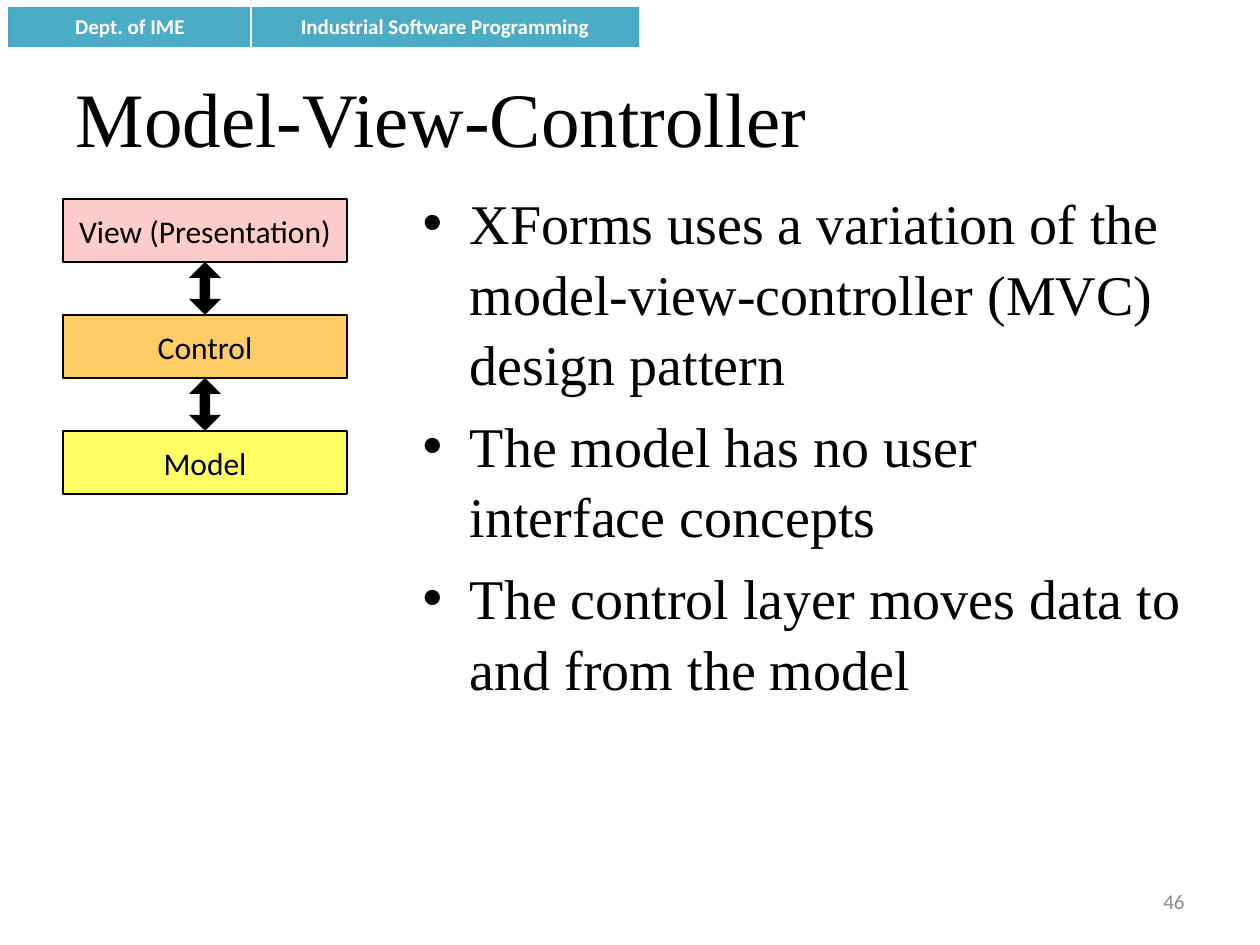
from lxml import etree
from pptx import Presentation
from pptx.dml.color import RGBColor
from pptx.enum.shapes import MSO_SHAPE
from pptx.enum.text import MSO_ANCHOR, MSO_AUTO_SIZE, PP_ALIGN
from pptx.oxml.ns import qn
from pptx.util import Pt

RECT, ARROW = MSO_SHAPE.RECTANGLE, MSO_SHAPE.UP_DOWN_ARROW
LEFT, CENTER, RIGHT = PP_ALIGN.LEFT, PP_ALIGN.CENTER, PP_ALIGN.RIGHT
MIDDLE = MSO_ANCHOR.MIDDLE
NO_FIT = MSO_AUTO_SIZE.NONE
PX = 914400 // 126
COLORS = {
    "banner": "4BACC6", "banner_edge": "46AAC5", "white": "FFFFFF",
    "black": "000000", "number": "8C8C8C",
    "view": "FFCCCC", "control": "FFCC66", "model": "FFFF66",
}


def px(*values):
    return [v * PX for v in values]


def style(p, font, size, color, align, bold=False):
    p.alignment = align
    for r in p.runs:
        r.font.name, r.font.size, r.font.bold = font, Pt(size), bold
        r.font.color.rgb = RGBColor.from_string(COLORS[color])


prs = Presentation()
prs.slide_width, prs.slide_height = px(1260, 945)
s = prs.slides.add_slide(prs.slide_layouts[1])

# Course banner
table = s.shapes.add_table(1, 2, *px(9, 8, 630, 38)).table
table.first_row = table.horz_banding = False
banner = [("Dept. of IME", 242, "LTB"), ("Industrial Software Programming", 388, "RTB")]
for i, (text, width, sides) in enumerate(banner):
    table.columns[i].width = width * PX
    cell = table.cell(0, i)
    cell.text = text
    cell.vertical_anchor = MIDDLE
    cell.fill.solid()
    cell.fill.fore_color.rgb = RGBColor.from_string(COLORS["banner"])
    style(cell.text_frame.paragraphs[0], "Calibri", 12, "white", CENTER, True)
    tcPr = cell._tc.get_or_add_tcPr()
    for n, side in enumerate(sides):
        ln = etree.Element(qn(f"a:ln{side}"), w=str(Pt(0.75)))
        fill = etree.SubElement(ln, qn("a:solidFill"))
        etree.SubElement(fill, qn("a:srgbClr"), val=COLORS["banner_edge"])
        tcPr.insert(n, ln)

# Title
title = s.shapes.title
title.left, title.top, title.width, title.height = px(63, 38, 1134, 157)
title.text_frame.text = "Model-View-Controller"
title.text_frame.auto_size = NO_FIT
style(title.text_frame.paragraphs[0], "Times New Roman", 44, "black", LEFT)

# Bullet list
body = s.placeholders[1]
body.left, body.top, body.width, body.height = px(410, 179, 787, 665)
tf = body.text_frame
tf.auto_size = NO_FIT
bullets = [
    "XForms uses a variation of the model-view-controller (MVC) design pattern",
    "The model has no user interface concepts",
    "The control layer moves data to and from the model",
]
for i, text in enumerate(bullets):
    p = tf.add_paragraph() if i else tf.paragraphs[0]
    p.text = text
    p.space_before = Pt(6.4 if i else 0)
    p.line_spacing = 1.05
    style(p, "Times New Roman", 32, "black", LEFT)

# Layer boxes, joined by double arrows
BOX_H, GAP = 63, 53
layers = [("View (Presentation)", "view"), ("Control", "control"), ("Model", "model")]
for i, (text, color) in enumerate(layers):
    top = 199 + i * (BOX_H + GAP)
    sp = s.shapes.add_shape(RECT, *px(63, top, 284, BOX_H))
    sp.shadow.inherit = False
    sp.fill.solid()
    sp.fill.fore_color.rgb = RGBColor.from_string(COLORS[color])
    sp.line.color.rgb = RGBColor.from_string(COLORS["black"])
    sp.line.width = Pt(1.5)
    tf = sp.text_frame
    tf.text = text
    tf.word_wrap = False
    tf.vertical_anchor = MIDDLE
    style(tf.paragraphs[0], "Calibri", 18, "black", CENTER)
    if i:
        arrow = s.shapes.add_shape(ARROW, *px(189, top - GAP, 32, GAP))
        arrow.shadow.inherit = False
        arrow.adjustments[0], arrow.adjustments[1] = 0.5, 0.33
        arrow.fill.solid()
        arrow.fill.fore_color.rgb = RGBColor.from_string(COLORS["black"])
        arrow.line.fill.background()

# Slide number
tf = s.shapes.add_textbox(*px(903, 876, 294, 50)).text_frame
tf.text = "46"
tf.word_wrap = True
tf.vertical_anchor = MIDDLE
style(tf.paragraphs[0], "Calibri", 12, "number", RIGHT)

prs.save("out.pptx")
